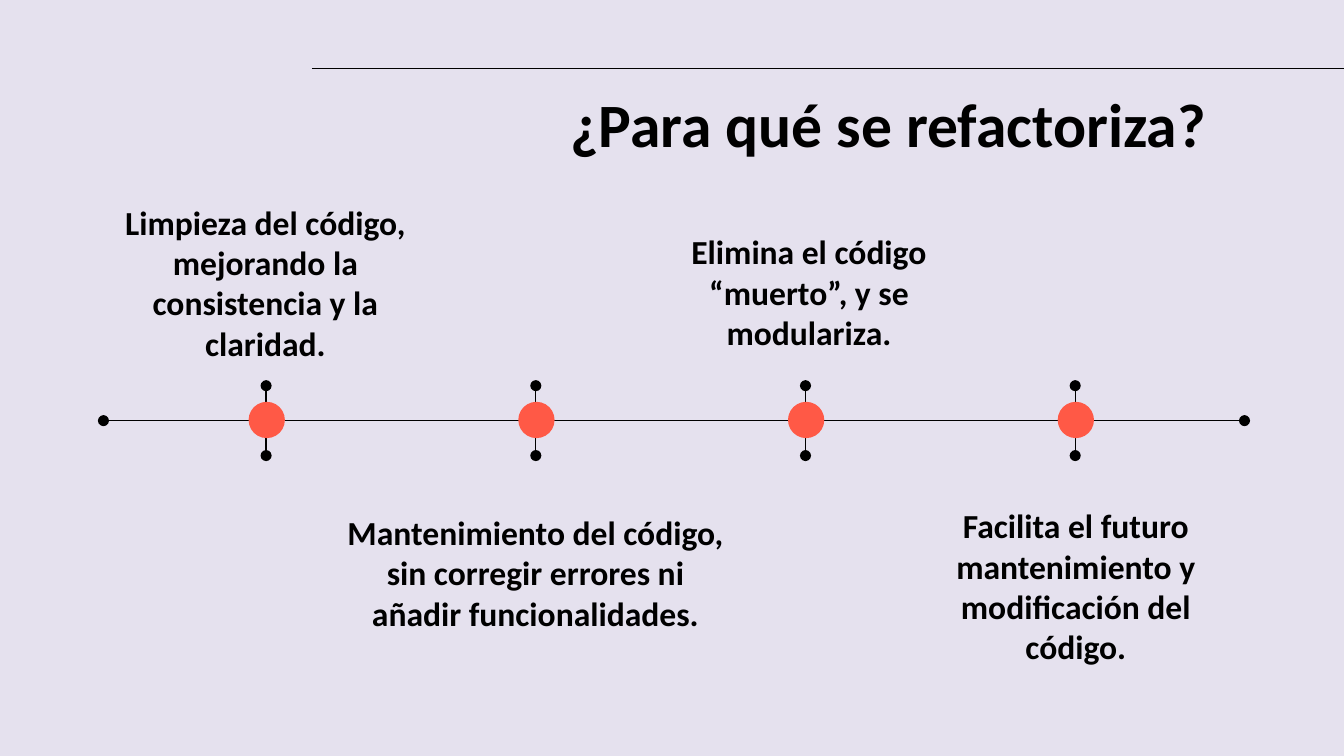
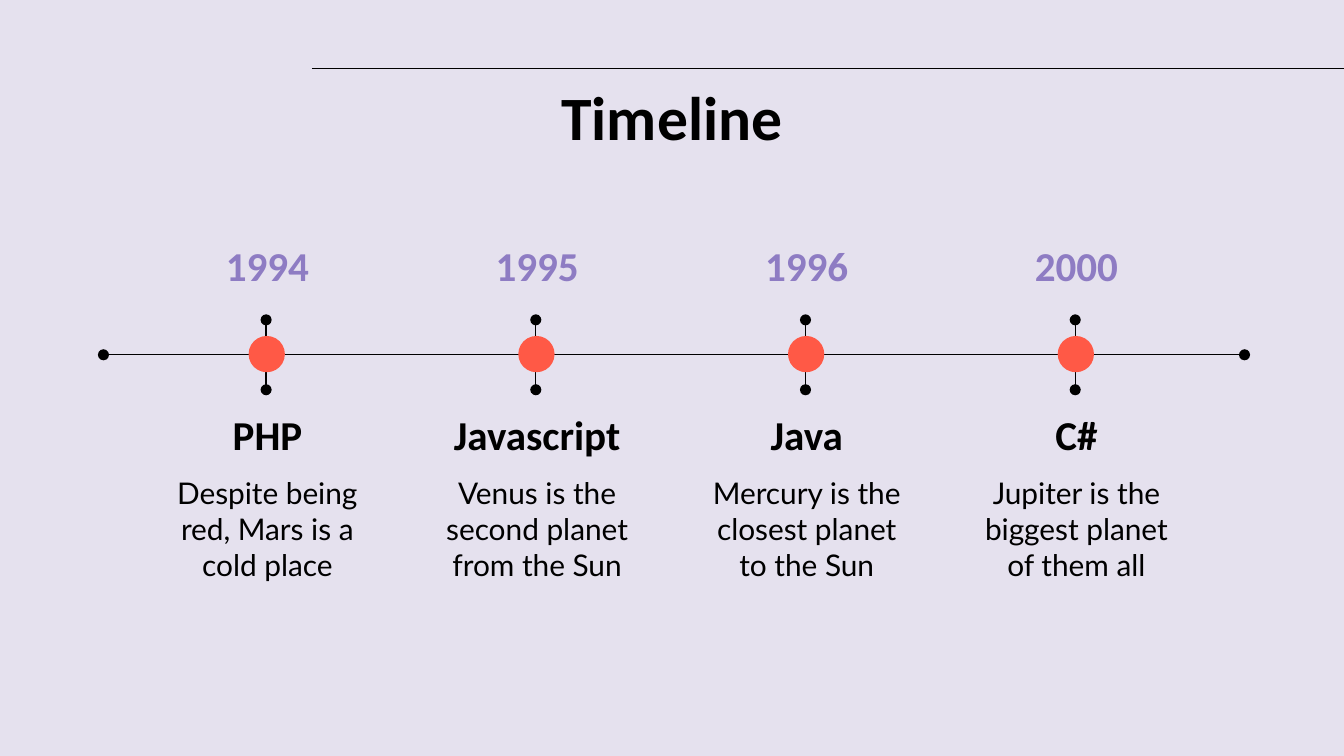
"""Build two timeline slides on refactoring and programming languages."""
from lxml.etree import SubElement
from pptx import Presentation
from pptx.dml.color import RGBColor
from pptx.enum.shapes import MSO_CONNECTOR, MSO_SHAPE
from pptx.enum.text import MSO_ANCHOR, PP_ALIGN
from pptx.oxml.ns import qn
from pptx.util import Inches, Pt

HUE = {"back": "E5E1EE", "ink": "000000", "dot": "FF5946", "year": "8E7CC3"}
TITLE = {"name": "Calibri", "size": Pt(33), "bold": True}
HEAD = {"name": "Calibri", "size": Pt(22), "bold": True}
NOTE = {"name": "Calibri", "size": Pt(18), "bold": True}
BODY = {"name": "Lato", "size": Pt(16), "bold": False}
FRAME = {"word_wrap": True}
for side in ("left", "right", "top", "bottom"):
    FRAME["margin_" + side] = Inches(0.1)


def add_text(slide, text, box, style, hue="ink", anchor=MSO_ANCHOR.TOP):
    frame = slide.shapes.add_textbox(*map(Inches, box)).text_frame
    for key, value in {**FRAME, "vertical_anchor": anchor}.items():
        setattr(frame, key, value)
    para = frame.paragraphs[0]
    para.alignment = PP_ALIGN.CENTER
    run = para.add_run()
    run.text = text
    for key, value in style.items():
        setattr(run.font, key, value)
    run.font.color.rgb = RGBColor.from_string(HUE[hue])


def add_line(slide, ends, oval=True):
    line = slide.shapes.add_connector(MSO_CONNECTOR.STRAIGHT, *map(Inches, ends))
    line.line.width = Pt(0.75)
    line.line.color.rgb = RGBColor.from_string(HUE["ink"])
    props = line._element.spPr
    if oval:
        for tag in ("a:headEnd", "a:tailEnd"):
            SubElement(props.find(qn("a:ln")), qn(tag), type="oval")
    SubElement(props, qn("a:effectLst"))


deck = Presentation()
deck.slide_width = Inches(10)
deck.slide_height = deck.slide_width * 9 // 16

STOPS = [1.98 + 6.02 * col / 3 for col in range(4)]
PAGES = [
    ("¿Para qué se refactoriza?", 2.39, 0.54, 3.13),
    ("Timeline", 0.78, 0.49, 2.64),
]
slides = []
for title, left, top, axis in PAGES:
    slide = deck.slides.add_slide(deck.slide_layouts[6])
    slides.append(slide)
    slide.background.fill.solid()
    slide.background.fill.fore_color.rgb = RGBColor.from_string(HUE["back"])
    add_line(slide, (2.32, 0.51, 10, 0.51), oval=False)
    add_text(slide, title, (left, top, 8.44, 0.63), TITLE)
    add_line(slide, (0.77, axis, 9.26, axis))
    for stop in STOPS:
        add_line(slide, (stop, axis - 0.26, stop, axis + 0.26))
        dot = slide.shapes.add_shape(
            MSO_SHAPE.OVAL, Inches(stop - 0.13), Inches(axis - 0.14), Inches(0.27), Inches(0.27)
        )
        dot.shadow.inherit = False
        dot.fill.solid()
        dot.fill.fore_color.rgb = RGBColor.from_string(HUE["dot"])
        dot.line.fill.background()

GOALS = [
    ("Limpieza del código, mejorando la consistencia y la claridad.", (0.6, 1.4, 2.75, 1.29)),
    ("Mantenimiento del código, sin corregir errores ni añadir funcionalidades.",
     (2.46, 3.71, 3.05, 1.58)),
    ("Elimina el código “muerto”, y se modulariza.", (4.67, 1.62, 2.7, 0.43)),
    ("Facilita el futuro mantenimiento y modificación del código.", (6.73, 3.66, 2.55, 1.48)),
]
for text, box in GOALS:
    add_text(slides[0], text, box, NOTE)

EVENTS = [
    ("1994", "PHP", "Despite being red, Mars is a cold place"),
    ("1995", "Javascript", "Venus is the second planet from the Sun"),
    ("1996", "Java", "Mercury is the closest planet to the Sun"),
    ("2000", "C#", "Jupiter is the biggest planet of them all"),
]
for stop, (year, name, fact) in zip(STOPS, EVENTS):
    left = stop - 0.84
    add_text(slides[1], year, (left, 1.69, 1.7, 0.43), HEAD, "year")
    add_text(slides[1], name, (left, 2.95, 1.7, 0.43), HEAD)
    add_text(slides[1], fact, (left, 3.49, 1.7, 0.89), BODY, anchor=MSO_ANCHOR.MIDDLE)

deck.save("out.pptx")
